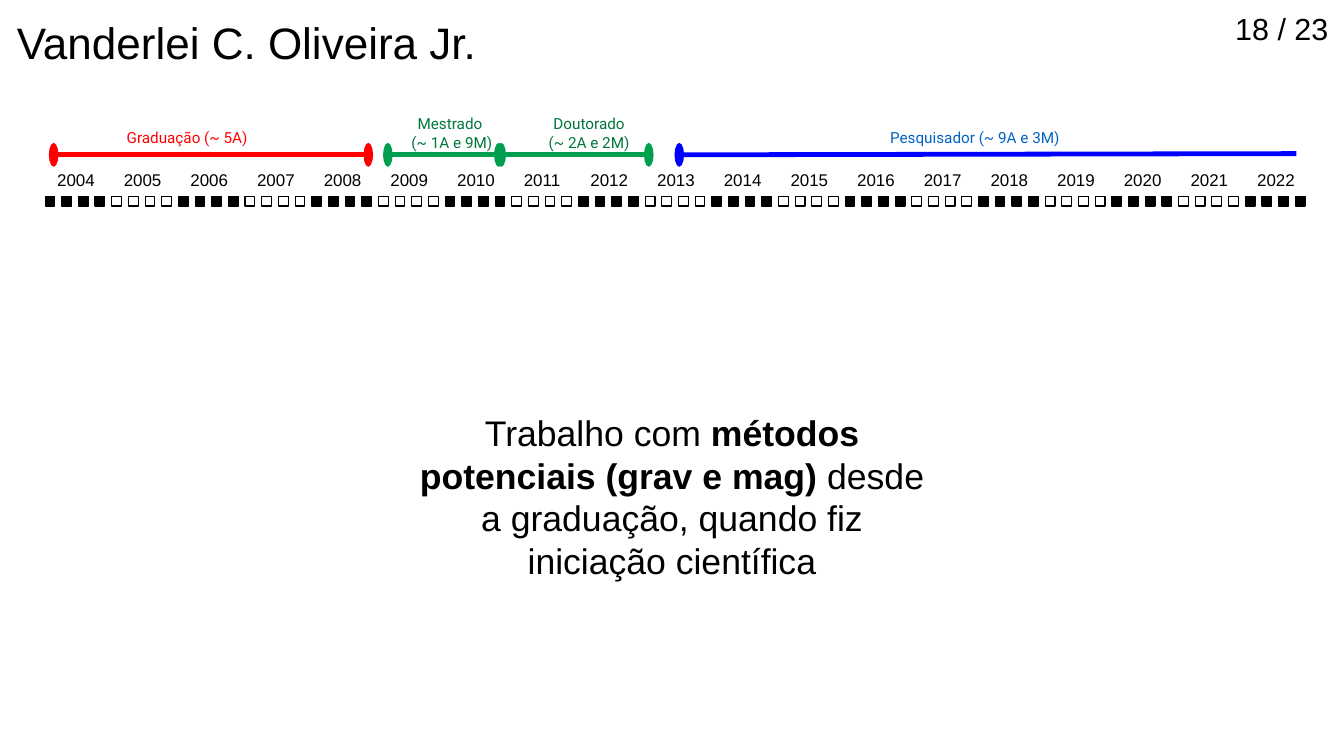
from pptx import Presentation
from pptx.dml.color import RGBColor
from pptx.enum.shapes import MSO_CONNECTOR as LINK, MSO_SHAPE as SHAPE
from pptx.enum.text import MSO_ANCHOR as ANCHOR, MSO_AUTO_SIZE as FIT, PP_ALIGN as ALIGN
from pptx.oxml.ns import qn
from pptx.util import Inches, Pt
from lxml.etree import SubElement

BLACK = RGBColor(0x00, 0x00, 0x00)
WHITE = RGBColor(0xFF, 0xFF, 0xFF)
RED = RGBColor(0xFF, 0x00, 0x00)
GREEN = RGBColor(0x00, 0x9E, 0x4F)
PINE = RGBColor(0x00, 0x76, 0x3B)
BLUE = RGBColor(0x00, 0x00, 0xFF)
AZURE = RGBColor(0x00, 0x62, 0xC4)

YEARS = range(2004, 2023)
SPAN = 9.84  # from the start of the first year to that of the last
SIDE = 0.08

# start x, start y, end x, end y, colour, dot at the end
SPANS = [
    (0.07, 0.39, 2.65, 0.39, RED, True),
    (2.81, 0.39, 3.74, 0.39, GREEN, True),
    (3.72, 0.39, 4.95, 0.39, GREEN, True),
    (5.20, 0.39, 10.26, 0.38, BLUE, False),
]
# left, top, width, height, lines, colour, alignment
STAGES = [
    (6.83, 0.12, 1.70, 0.27, ["Pesquisador (~ 9A e 3M)"], AZURE, ALIGN.LEFT),
    (3.88, 0.01, 1.16, 0.44, ["Doutorado", "(~ 2A e 2M)"], PINE, ALIGN.CENTER),
    (2.90, 0.01, 0.87, 0.44, ["Mestrado ", "(~ 1A e 9M)"], PINE, ALIGN.CENTER),
    (0.57, 0.12, 1.23, 0.27, ["Graduação (~ 5A)"], RED, ALIGN.LEFT),
]


def add_text(slide, box, lines, size, color=BLACK, face="Arial",
             align=ALIGN.LEFT, wrap=True):
    """Add a text box; each line is a list of (text, bold) runs or a string."""
    shape = slide.shapes.add_textbox(*map(Inches, box))
    frame = shape.text_frame
    frame.word_wrap = wrap
    frame.auto_size = FIT.SHAPE_TO_FIT_TEXT
    for i, line in enumerate(lines):
        para = frame.paragraphs[0] if i == 0 else frame.add_paragraph()
        para.alignment = align
        font = para.font
        font.name, font.size = face, Pt(size)
        font.color.rgb = color
        for text, bold in [(line, None)] if isinstance(line, str) else line:
            run = para.add_run()
            run.text = text
            run.font.bold = bold
    return frame


def add_span(slide, start, end, color, closed):
    """Add a career line with a tall dot at its start and, if closed, its end."""
    line = slide.shapes.add_connector(LINK.STRAIGHT, *map(Inches, start + end))
    line.line.color.rgb = color
    line.line.width = Pt(2.83)
    stroke = line.line._get_or_add_ln()
    for tag in ["a:headEnd", "a:tailEnd"] if closed else ["a:headEnd"]:
        SubElement(stroke, qn(tag), type="oval", w="lg", len="sm")
    SubElement(line._element.spPr, qn("a:effectLst"))


def add_year(slide, left, top, year):
    """Add a year with its four quarter squares."""
    add_text(slide, (left, top, 0.55, 0.25), [str(year)], 10)
    group = slide.shapes.add_group_shape()
    for i in range(4):
        x = left + i * 0.41 / 3
        square = group.shapes.add_shape(
            SHAPE.RECTANGLE, *map(Inches, (x, top + 0.27, SIDE, SIDE)))
        square.shadow.inherit = False
        square.fill.solid()
        square.fill.fore_color.rgb = WHITE if year % 2 else BLACK
        square.line.color.rgb = BLACK
        square.line.width = Pt(0)


def add_career(slide, left, top):
    for i, year in enumerate(YEARS):
        add_year(slide, left + i * SPAN / (len(YEARS) - 1), top + 0.46, year)
    for x1, y1, x2, y2, color, closed in SPANS:
        add_span(slide, (left + x1, top + y1), (left + x2, top + y2), color, closed)
    for x, y, width, height, lines, color, align in STAGES:
        add_text(slide, (left + x, top + y, width, height), lines, 9,
                 color, "Roboto", align, wrap=False)


def add_header(slide, width):
    add_text(slide, (0.04, 0.08, 4.06, 0.51), ["Vanderlei C. Oliveira Jr."], 26)
    number = add_text(slide, (width - 1.85, 0, 1.89, 0.47), ["18 / 23 "], 18,
                      align=ALIGN.RIGHT, wrap=False)
    number.vertical_anchor = ANCHOR.MIDDLE


def add_message(slide, box):
    words = [
        ("Trabalho com ", False),
        ("métodos potenciais (grav e mag)", True),
        (" desde a graduação, quando fiz iniciação científica", False),
    ]
    add_text(slide, box, [words], 21, align=ALIGN.CENTER)


def main():
    deck = Presentation()
    deck.slide_width, deck.slide_height = Inches(11.02), Inches(6.2)
    slide = deck.slides.add_slide(deck.slide_layouts[6])
    add_header(slide, 11.02)
    add_career(slide, 0.37, 0.88)
    add_message(slide, (3.32, 3.32, 4.38, 1.4))
    deck.save("out.pptx")


if __name__ == "__main__":
    main()
